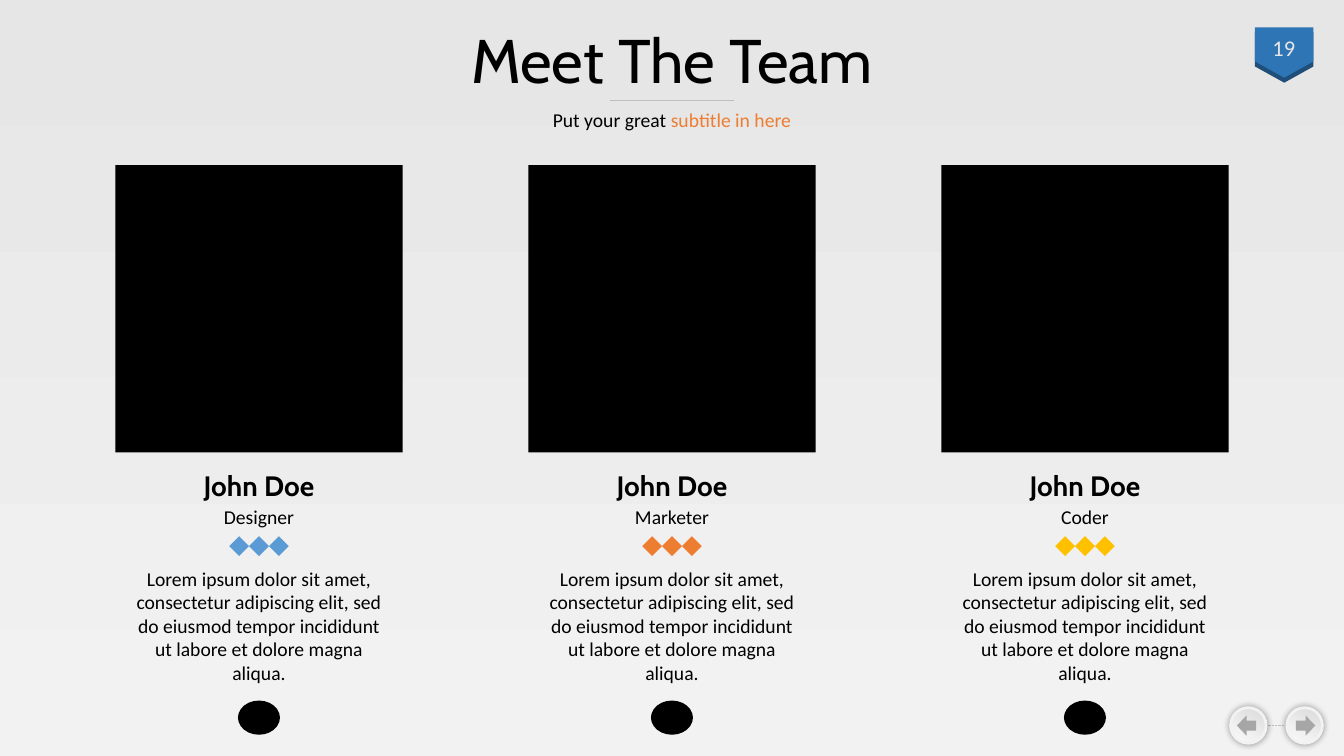
from collections import namedtuple
from copy import deepcopy
from dataclasses import dataclass

from lxml.etree import SubElement
from pptx import Presentation
from pptx.dml.color import RGBColor
from pptx.enum.dml import MSO_LINE
from pptx.enum.shapes import MSO_CONNECTOR, MSO_SHAPE
from pptx.enum.text import MSO_ANCHOR, PP_ALIGN
from pptx.oxml.ns import qn
from pptx.util import Pt

Box = namedtuple("Box", "left top width height")
Member = namedtuple("Member", "name role accent")


@dataclass(frozen=True)
class Theme:
    ink: str = "000000"
    blue: str = "5B9BD5"
    orange: str = "ED7D31"
    gold: str = "FFC000"
    badge: str = "2E75B6"
    badge_edge: str = "1F4E79"
    badge_text: str = "E7E6E6"
    rule: str = "BFBFBF"
    arrow: str = "A6A6A6"
    button_edge: str = "F2F2F2"
    backdrop: tuple = ((0, "E7E6E6"), (1, "F2F2F2"))
    button: tuple = ((0.01, "D9D9D9"), (0.71, "F2F2F2"), (1, "FFFFFF"))
    heading_font: str = "Cabin"
    body_font: str = "Calibri"
    title_size: int = 44
    name_size: int = 20
    number_size: int = 16
    body_size: int = 14


THEME = Theme()
TEAM = (
    Member("John Doe", "Designer", THEME.blue),
    Member("John Doe", "Marketer", THEME.orange),
    Member("John Doe", "Coder", THEME.gold),
)
BIO = ("Lorem ipsum dolor sit amet, consectetur adipiscing elit, sed do eiusmod "
       "tempor incididunt ut labore et dolore magna aliqua.")
HEADING = {"name": THEME.heading_font, "size": Pt(THEME.title_size)}
NAME = {"name": THEME.heading_font, "size": Pt(THEME.name_size), "bold": True}
NUMBER = {"name": THEME.body_font, "size": Pt(THEME.number_size)}
BODY = {"name": THEME.body_font, "size": Pt(THEME.body_size)}


def set_all(target, values):
    for attribute, value in values.items():
        setattr(target, attribute, value)


def in_points(box):
    return [Pt(length) for length in box]


def write(frame, runs, font, anchor=MSO_ANCHOR.TOP):
    """Fill a frame with one centred paragraph of (text, colour) runs."""
    set_all(frame, {"word_wrap": True, "vertical_anchor": anchor})
    paragraph = frame.paragraphs[0]
    paragraph.alignment = PP_ALIGN.CENTER
    for text, color in runs:
        run = paragraph.add_run()
        run.text = text
        set_all(run.font, font)
        run.font.color.rgb = RGBColor.from_string(color)
    return paragraph


def add_label(slide, box, runs, font, anchor=MSO_ANCHOR.TOP):
    write(slide.shapes.add_textbox(*in_points(box)).text_frame, runs, font, anchor)


def add_solid(slide, preset, box, color):
    shape = slide.shapes.add_shape(preset, *in_points(box))
    shape.shadow.inherit = False
    shape.fill.solid()
    shape.fill.fore_color.rgb = RGBColor.from_string(color)
    shape.line.fill.background()
    return shape


def add_rule(slide, start, end, y, dash=MSO_LINE.SOLID):
    rule = slide.shapes.add_connector(
        MSO_CONNECTOR.STRAIGHT, Pt(start), Pt(y), Pt(end), Pt(y))
    set_all(rule.line, {"width": Pt(0.5), "dash_style": dash})
    rule.line.color.rgb = RGBColor.from_string(THEME.rule)
    SubElement(rule._element.spPr, qn("a:effectLst"))


def fill_gradient(fill, stops, angle):
    """Apply any number of (position, colour) stops; angle is counter-clockwise."""
    fill.gradient()
    fill.gradient_angle = angle
    last = fill.gradient_stops[-1]._gs
    for _ in stops[2:]:
        last.addnext(deepcopy(last))
    for stop, (position, color) in zip(fill.gradient_stops, stops):
        stop.position = position
        stop.color.rgb = RGBColor.from_string(color)


def add_glow(shape):
    """Cast a soft, centred black shadow."""
    effects = shape._element.spPr.find(qn("a:effectLst"))
    shadow = SubElement(effects, qn("a:outerShdw"), blurRad=str(Pt(5)), dist="0",
                        dir="0", algn="ctr", rotWithShape="0")
    black = SubElement(shadow, qn("a:srgbClr"), val=THEME.ink)
    SubElement(black, qn("a:alpha"), val="40000")


def add_header(slide, box):
    title = slide.shapes.title
    set_all(title, dict(zip(Box._fields, in_points(box))))
    heading = write(title.text_frame, [("Meet The Team", THEME.ink)], HEADING,
                    MSO_ANCHOR.MIDDLE)
    heading.line_spacing = 0.9
    center = box.left + box.width / 2
    add_rule(slide, center - 44, center + 44, box.top + 58)
    add_label(slide, Box(center - 162, box.top + 57.5, 324, 28.8),
              [("Put your great ", THEME.ink), ("subtitle in here", THEME.orange)],
              BODY, MSO_ANCHOR.MIDDLE)


def add_page_badge(slide, box):
    for drop, color in ((3.6, THEME.badge_edge), (0, THEME.badge)):
        plate = add_solid(slide, MSO_SHAPE.PENTAGON,
                          Box(box.left, box.top + drop, box.width, box.height), color)
        plate.rotation = 90
        plate.adjustments[0] = 0.322
    add_label(slide, Box(box.left + box.width / 2 - 28, box.top + 3, 55.4, 28.8),
              [("19", THEME.badge_text)], NUMBER, MSO_ANCHOR.MIDDLE)


def add_navigation(slide, box):
    size = box.height
    next_left = box.left + box.width - size
    add_rule(slide, box.left + size, next_left, box.top + size / 2, MSO_LINE.ROUND_DOT)
    for left, preset, inset in ((next_left, MSO_SHAPE.RIGHT_ARROW, 6.5),
                                (box.left, MSO_SHAPE.LEFT_ARROW, 4.5)):
        button = add_solid(slide, MSO_SHAPE.OVAL, Box(left, box.top, size, size),
                           THEME.button_edge)
        fill_gradient(button.fill, THEME.button, 240)
        button.line.color.rgb = RGBColor.from_string(THEME.button_edge)
        button.line.width = Pt(2)
        add_glow(button)
        add_solid(slide, preset, Box(left + inset, box.top + 5.6, 13.8, 14.4),
                  THEME.arrow)


def add_member(slide, box, member):
    center = box.left + box.width / 2

    def centered(offset, width, height):
        return Box(center - width / 2, box.top + offset, width, height)

    portrait = add_solid(slide, MSO_SHAPE.ROUNDED_RECTANGLE,
                         centered(0, box.width, box.width), THEME.ink)
    portrait.adjustments[0] = 0
    add_label(slide, centered(213, 120, 31.5), [(member.name, THEME.ink)], NAME)
    add_label(slide, centered(239.3, 90, 24.2), [(member.role, THEME.ink)], BODY)
    diamond = 14.2
    row = centered(265, 3 * diamond, diamond)
    for index in range(3):
        add_solid(slide, MSO_SHAPE.DIAMOND,
                  Box(row.left + index * diamond, row.top, diamond, diamond),
                  member.accent)
    add_label(slide, centered(283.3, 193.7, 92.2), [(BIO, THEME.ink)], BODY)
    add_solid(slide, MSO_SHAPE.OVAL, centered(382.4, 30, 24.4), THEME.ink)


def add_team(slide, box):
    card_width = 205.2
    step = (box.width - card_width) / (len(TEAM) - 1)
    for index, member in enumerate(TEAM):
        add_member(slide, Box(box.left + index * step, box.top, card_width, box.height),
                   member)


def main():
    deck = Presentation()
    set_all(deck, {"slide_width": Pt(960), "slide_height": Pt(540)})
    slide = deck.slides.add_slide(deck.slide_layouts[5])
    fill_gradient(slide.background.fill, THEME.backdrop, 270)
    add_page_badge(slide, Box(899.3, 16.6, 36, 41.8))
    add_navigation(slide, Box(879, 505.5, 65.6, 25.4))
    add_header(slide, Box(185, 13.8, 590, 63.4))
    add_team(slide, Box(82.4, 118, 795.2, 407))
    deck.save("out.pptx")


if __name__ == "__main__":
    main()
